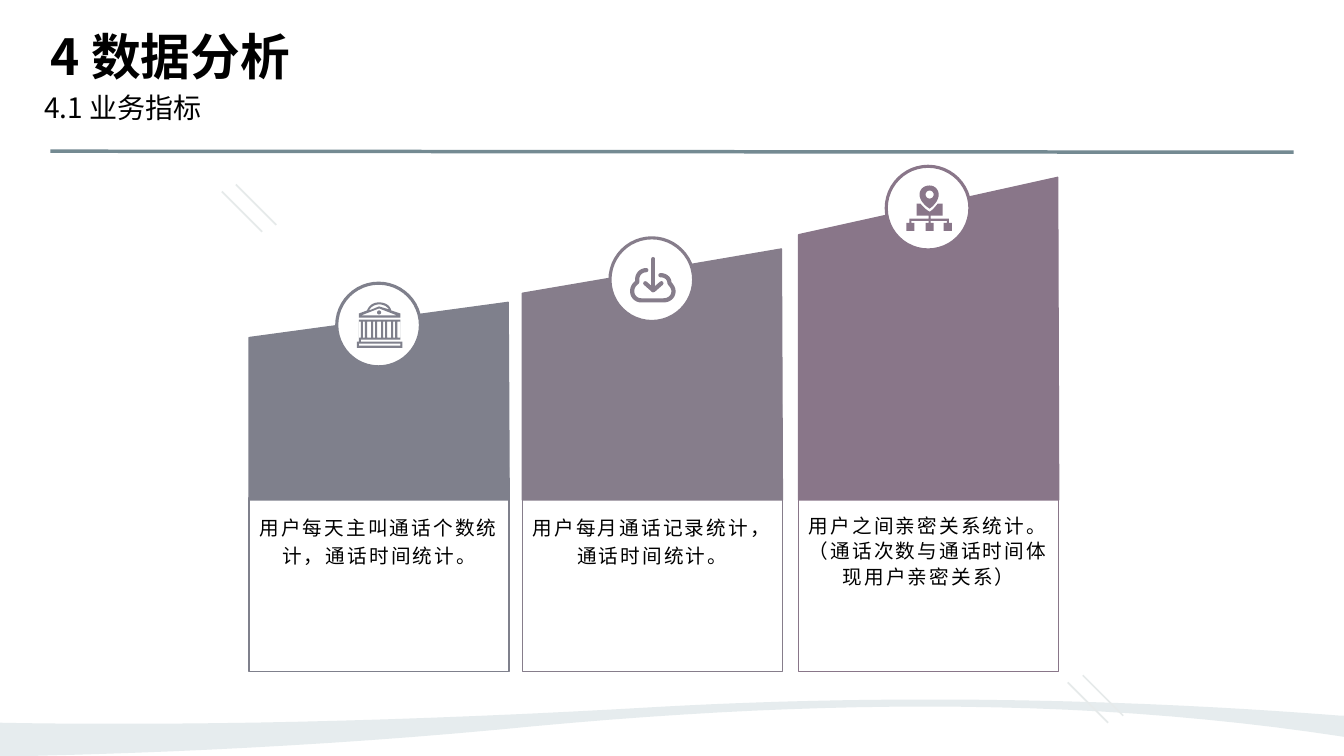
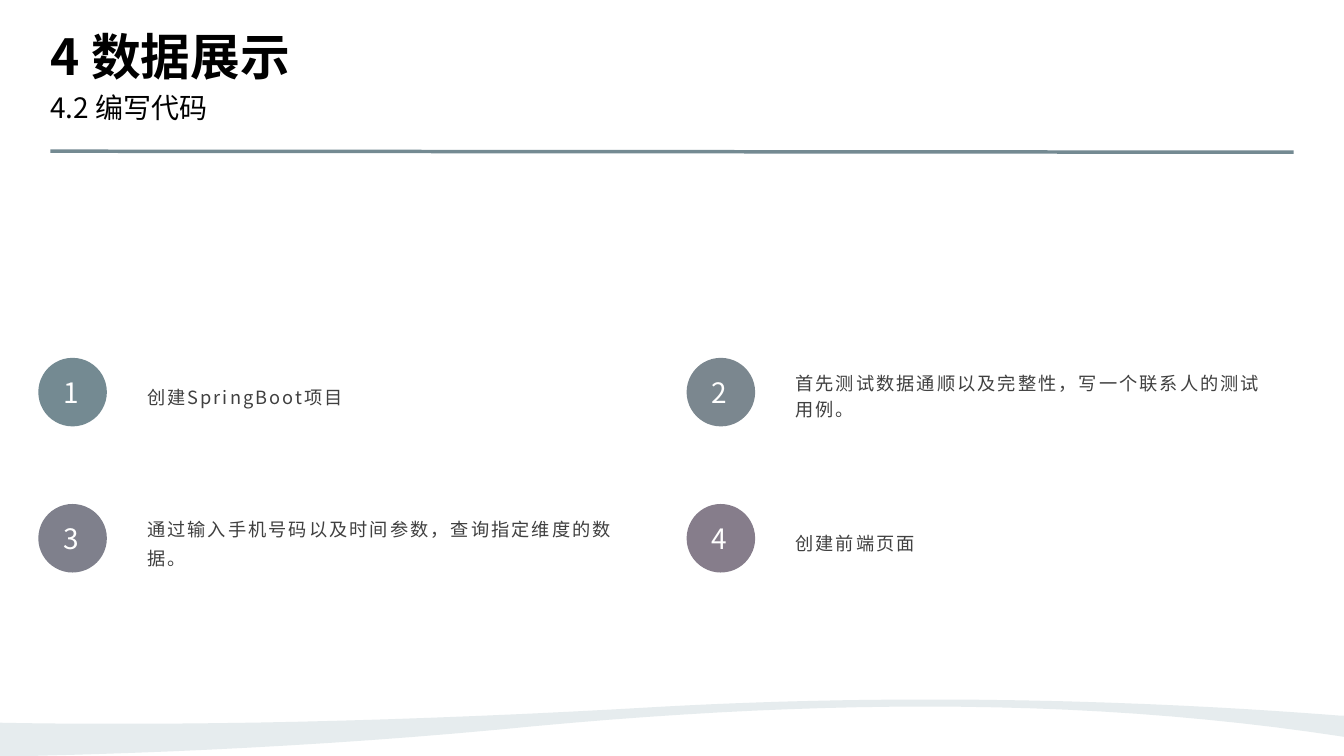
from math import cos, pi, sin

from lxml.etree import SubElement
from pptx import Presentation
from pptx.dml.color import RGBColor as RGB
from pptx.enum.shapes import MSO_CONNECTOR as CONN, MSO_SHAPE as SHAPE
from pptx.enum.text import MSO_ANCHOR as ANCHOR, PP_ALIGN as ALIGN
from pptx.oxml.ns import qn
from pptx.util import Inches, Pt

FONT = "Noto Sans CJK SC"
COLORS = {
    "teal": "748A92", "steel": "7B878F", "slate": "7F808C",
    "mauve": "867D8B", "plum": "897689", "wave": "E6ECEE",
    "stripe": "E6EAEA", "black": "000000", "gray": "404040", "white": "FFFFFF",
}
C = {name: RGB.from_string(value) for name, value in COLORS.items()}


def write(sp, text, size, color="black", bold=False, align=ALIGN.LEFT,
          anchor=ANCHOR.TOP, spacing=1.0, track=0, insets=(0, 0, 0, 0)):
    """Put one styled paragraph in a shape; insets are left, top, right, bottom."""
    tf = sp.text_frame
    tf.word_wrap = True
    tf.vertical_anchor = anchor
    tf.margin_left, tf.margin_top, tf.margin_right, tf.margin_bottom = map(Inches, insets)
    p = tf.paragraphs[0]
    p.text = text
    p.alignment, p.line_spacing = align, spacing
    r = p.runs[0]
    r.font.name, r.font.size, r.font.bold = FONT, Pt(size), bold
    r.font.color.rgb = C[color]
    rpr = r.font._element
    rpr.set("spc", str(int(track * 100)))
    SubElement(rpr, qn("a:ea")).set("typeface", FONT)


def outline(s, contours, color, x=0, y=0, unit=1.0, stroke=0):
    """Draw contours of points and six-number Bezier steps, filled or stroked."""
    fb = None
    for contour in contours:
        pts = [contour[0]]
        for step in contour[1:]:
            if len(step) == 2:
                pts.append(step)
                continue
            x0, y0 = pts[-1]
            x1, y1, x2, y2, x3, y3 = step
            for i in range(1, 13):
                t = i / 12
                a, b, c, d = (1 - t) ** 3, 3 * t * (1 - t) ** 2, 3 * t * t * (1 - t), t ** 3
                pts.append((a * x0 + b * x1 + c * x2 + d * x3,
                            a * y0 + b * y1 + c * y2 + d * y3))
        pts = [(Inches(px * unit), Inches(py * unit)) for px, py in pts]
        if fb is None:
            fb = s.shapes.build_freeform(*pts[0], scale=1.0)
        else:
            fb.move_to(*pts[0])
        fb.add_line_segments(pts[1:], close=not stroke)
    sp = fb.convert_to_shape(Inches(x), Inches(y))
    sp.shadow.inherit = False
    if stroke:
        sp.fill.background()
        sp.line.color.rgb, sp.line.width = C[color], Pt(stroke)
        ln = sp.line._get_or_add_ln()
        ln.set("cap", "rnd")
        SubElement(ln, qn("a:round"))
    else:
        sp.fill.solid()
        sp.fill.fore_color.rgb = C[color]
        sp.line.fill.background()
    return sp


prs = Presentation()
prs.slide_width, prs.slide_height = Inches(13.33), Inches(7.5)

# Shared frame: wave, rule, title and subtitle
WAVE = [(9.23, 6.94), (8.4, 6.94, 7.51, 6.96, 6.59, 7.01),
        (4.71, 7.12, 2.89, 7.18, 1.34, 7.18), (0.87, 7.18, 0.43, 7.18, 0, 7.17),
        (0, 7.5), (0.3, 7.5), (1.58, 7.47, 3.21, 7.4, 4.93, 7.24),
        (6.44, 7.09, 7.84, 7.01, 9.18, 7.01), (10.6, 7.01, 11.96, 7.1, 13.33, 7.31),
        (13.33, 7.1), (13.29, 7.1), (12.65, 7.05, 11.12, 6.94, 9.23, 6.94)]
RULE = (0.5, 1.5, 12.83, 1.51, "teal", 2.5)
STRIPES = [(x, y, x + 0.4, y + 0.4, "stripe", 1.25)
           for x, y in [(2.34, 1.83), (2.2, 1.9), (10.74, 6.7), (10.59, 6.77)]]
HEADS = [("4 数据分析", "4.1 业务指标", 0.44, [RULE] + STRIPES),
         ("4 数据展示", "4.2 编写代码", 0.5, [RULE])]

for title, subtitle, sub_left, lines in HEADS:
    s = prs.slides.add_slide(prs.slide_layouts[6])
    s.background.fill.solid()
    s.background.fill.fore_color.rgb = C["white"]
    outline(s, [WAVE], "wave")
    for x1, y1, x2, y2, color, width in lines:
        cn = s.shapes.add_connector(CONN.STRAIGHT, *map(Inches, (x1, y1, x2, y2)))
        cn.line.color.rgb, cn.line.width = C[color], Pt(width)
        SubElement(cn._element.spPr, qn("a:effectLst"))
    sp = s.shapes.add_textbox(*map(Inches, (0.5, 0.17, 12.33, 0.67)))
    write(sp, title, 35.5, bold=True, anchor=ANCHOR.BOTTOM, spacing=0.8)
    sp = s.shapes.add_textbox(*map(Inches, (sub_left, 0.83, 12.33, 0.5)))
    write(sp, subtitle, 20, spacing=1.2)

metrics, steps = prs.slides

# Icons, in hundredths of an inch; a contour inside another is a hole
bank_boxes = [(2, 17, 43, 37), (2, 37, 4, 39), (0, 39, 45, 45), (2, 41, 43, 43)]
bank_boxes += [(a, 19, b, 35) for a, b in
               [(2, 4), (6, 8), (10, 14), (16, 18), (20, 24),
                (26, 28), (30, 34), (36, 38), (40, 43)]]
site_boxes = [(22, 30, 24, 33), (3, 33, 42, 35)]
for a in (0, 19, 37):
    site_boxes += [(a, 37, a + 8, 45), (a + 3, 35, a + 5, 37)]
bank_rects, site_rects = [
    [[(a, b), (c, b), (c, d), (a, d)] for a, b, c, d in boxes]
    for boxes in (bank_boxes, site_boxes)]
bank_dot, pin_hole = [
    [(cx + r * cos(pi * i / 12), cy + r * sin(pi * i / 12)) for i in range(24)]
    for cx, cy, r in [(22, 10, 2), (23, 9, 4)]]

BANK = bank_rects + [
    [(2, 15), (2, 11), (10, 8), (12, 3, 16, 0, 22, 0), (28, 0, 33, 3, 34, 8),
     (43, 11), (43, 15)],
    [(12, 8), (14, 4, 18, 2, 22, 2), (26, 2, 30, 4, 32, 7), (22, 4)],
    [(4, 13), (22, 6), (40, 13)], bank_dot]
CLOUD = [
    [(16, 13), (11, 13, 7, 17, 7, 22), (7, 25), (4, 27, 2, 30, 2, 34),
     (2, 39, 6, 43, 11, 43), (33, 43), (39, 43, 43, 39, 43, 34),
     (43, 31, 41, 28, 39, 26), (39, 21, 35, 18, 30, 18)],
    [(23, 2), (23, 33)], [(15, 26), (23, 33), (31, 26)]]
SITE = site_rects + [
    [(10, 18), (14, 18), (17, 22, 21, 25, 23, 26), (25, 25, 28, 22, 31, 18),
     (36, 18), (36, 30), (10, 30)],
    [(23, 0), (28, 0, 32, 4, 32, 9), (32, 17, 23, 23, 23, 23),
     (23, 23, 13, 17, 13, 9), (13, 4, 17, 0, 23, 0)], pin_hole]

# Slide 1: rising columns; left, top at left and right, badge top
COLUMNS = [
    (2.47, 3.35, 3, 2.81, "slate", BANK, 0, 1.2, "用户每天主叫通话个数统计，通话时间统计。"),
    (5.18, 2.91, 2.47, 2.36, "mauve", CLOUD, 3, 1.2, "用户每月通话记录统计，通话时间统计。"),
    (7.92, 2.33, 1.76, 1.65, "plum", SITE, 0, 1.1,
     "用户之间亲密关系统计。（通话次数与通话时间体现用户亲密关系）"),
]
COL_W, BADGE = 2.58, 0.83
for left, top_l, top_r, badge_top, color, icon, stroke, spacing, text in COLUMNS:
    bar = outline(metrics, [[(COL_W - 0.01, top_r), (0, top_l), (0, 4.96), (COL_W, 4.96)]],
                  color, x=left)
    bar.line.color.rgb, bar.line.width = C[color], Pt(1)

    sp = metrics.shapes.add_shape(SHAPE.RECTANGLE, *map(Inches, (left, 4.94, COL_W, 1.72)))
    sp.shadow.inherit = False
    sp.fill.background()
    sp.line.color.rgb, sp.line.width = C[color], Pt(1)

    badge = metrics.shapes.add_shape(
        SHAPE.OVAL, *map(Inches, (left + 0.87, badge_top, BADGE, BADGE)))
    badge.shadow.inherit = False
    badge.fill.solid()
    badge.fill.fore_color.rgb = C["white"]
    badge.line.color.rgb, badge.line.width = C[color], Pt(2.25)
    outline(metrics, icon, color, left + 1.07, badge_top + 0.19, 0.01, stroke)

    sp = metrics.shapes.add_textbox(*map(Inches, (left, 5.07, COL_W, 1.45)))
    write(sp, text, 14, align=ALIGN.CENTER, spacing=spacing, track=1.5,
          insets=(0.1, 0, 0.1, 0.05))

# Slide 2: numbered steps in a two by two grid
STEPS = [
    ("teal", 1.3, "创建SpringBoot项目"),
    ("steel", 1.2, "首先测试数据通顺以及完整性，写一个联系人的测试用例。"),
    ("slate", 1.3, "通过输入手机号码以及时间参数，查询指定维度的数据。"),
    ("mauve", 1.3, "创建前端页面"),
]
for i, (color, spacing, text) in enumerate(STEPS):
    left, top = 0.38 + i % 2 * 6.43, 3.55 + i // 2 * 1.45
    sp = steps.shapes.add_shape(SHAPE.ROUNDED_RECTANGLE, *map(Inches, (left, top, 0.68, 0.68)))
    sp.adjustments[0] = 0.5
    sp.shadow.inherit = False
    sp.fill.solid()
    sp.fill.fore_color.rgb = C[color]
    sp.line.fill.background()
    write(sp, str(i + 1), 20, "white", align=ALIGN.CENTER, anchor=ANCHOR.MIDDLE,
          track=3, insets=(0, 0, 0.03, 0))

    sp = steps.shapes.add_textbox(*map(Inches, (left + 0.98, top - 0.11, 4.89, 0.94)))
    write(sp, text, 13, "gray", anchor=ANCHOR.MIDDLE, spacing=spacing, track=1.5,
          insets=(0.1, 0.05, 0.1, 0.05))

prs.save("out.pptx")
